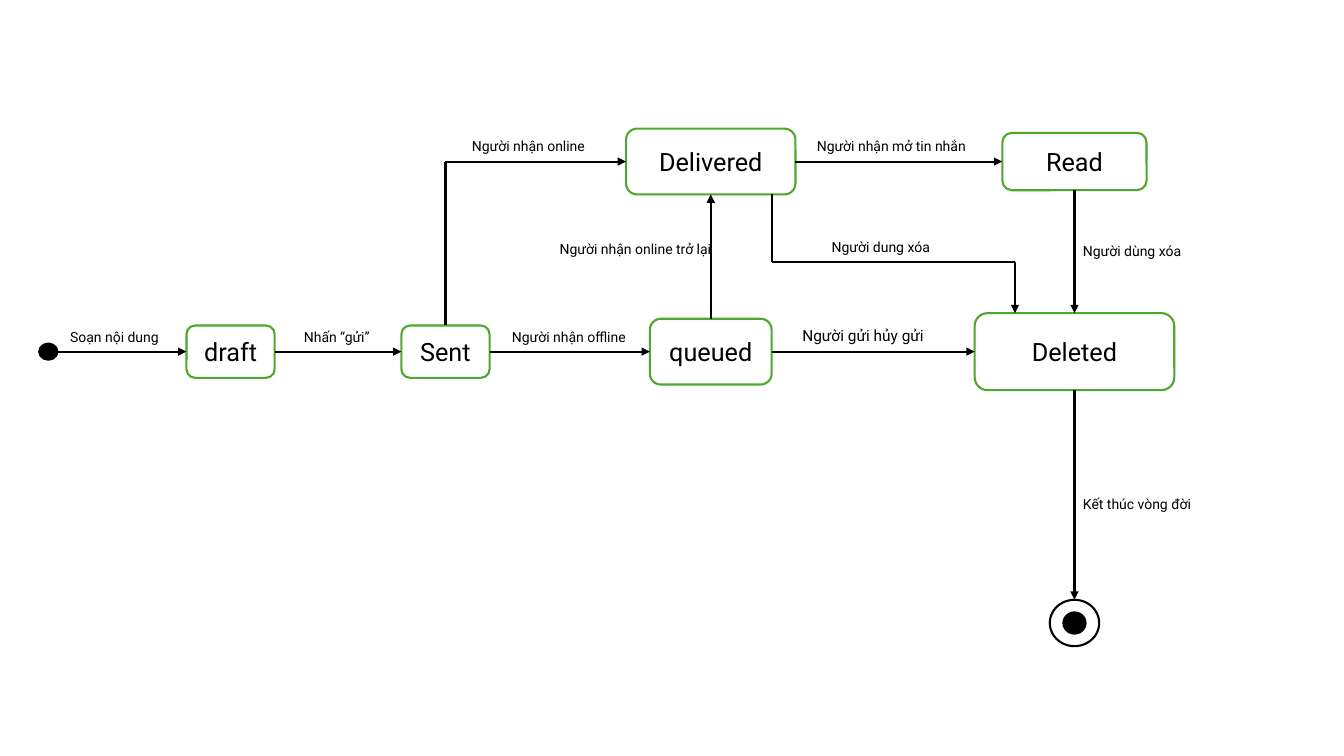
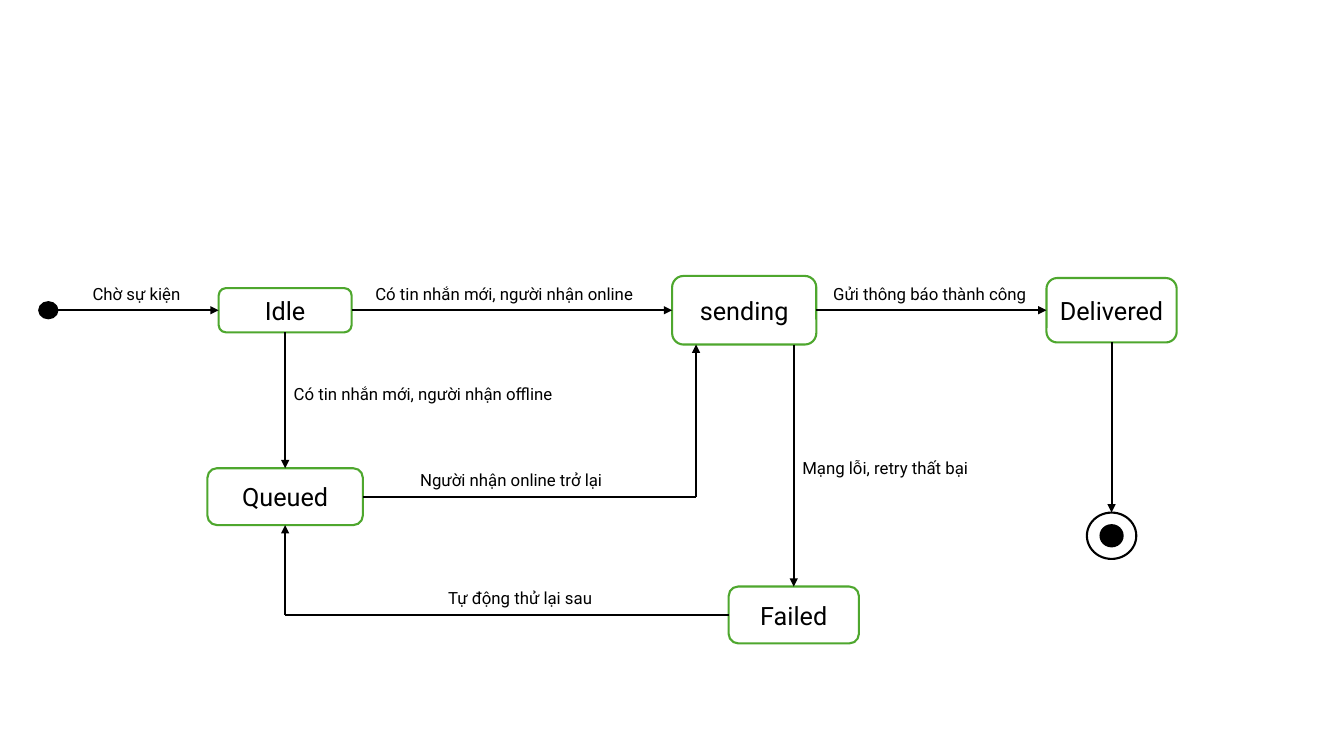
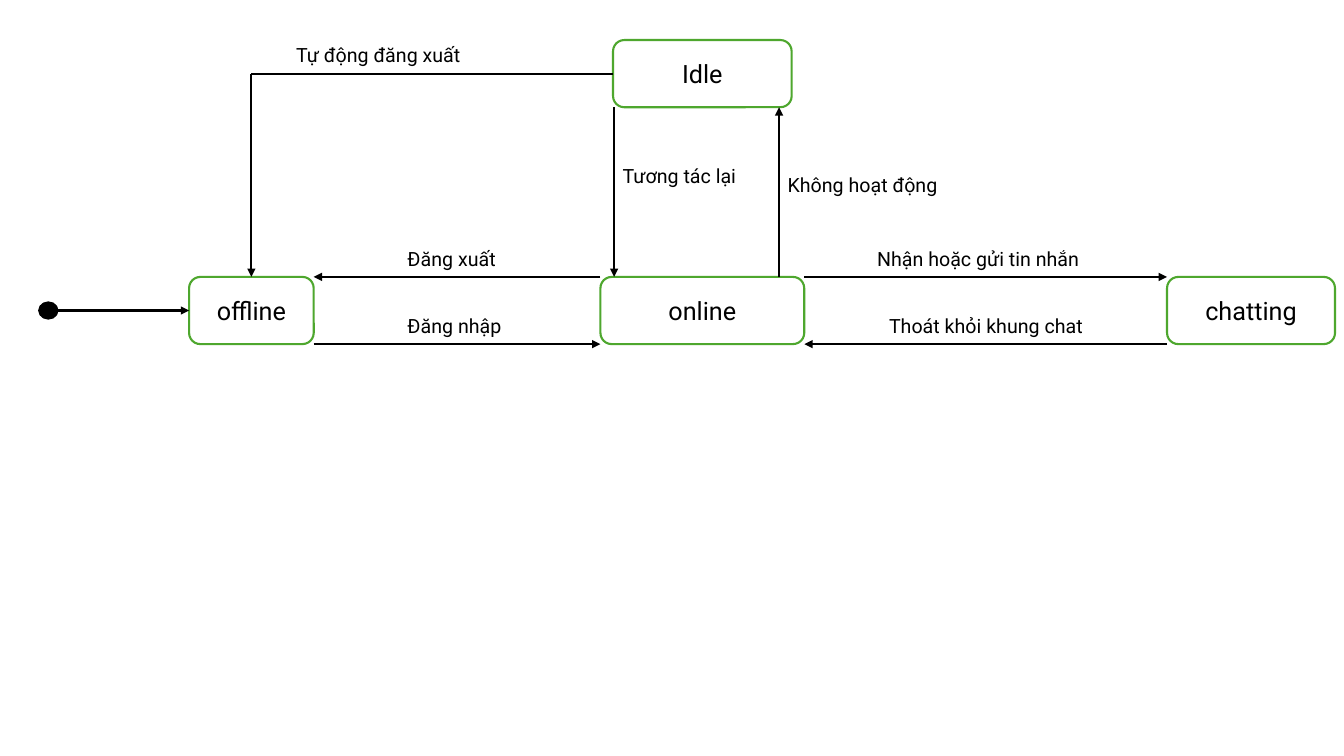
"""Build three state diagrams for a messaging system: message, notification and user."""
from itertools import pairwise

from lxml import etree
from pptx import Presentation
from pptx.dml.color import RGBColor
from pptx.enum.shapes import MSO_CONNECTOR, MSO_SHAPE
from pptx.enum.text import MSO_ANCHOR, MSO_AUTO_SIZE, PP_ALIGN
from pptx.oxml.ns import qn
from pptx.util import Pt

STRAIGHT = MSO_CONNECTOR.STRAIGHT
ELLIPSE = MSO_SHAPE.OVAL
ROUNDED = MSO_SHAPE.ROUNDED_RECTANGLE
MIDDLE = MSO_ANCHOR.MIDDLE
GROW = MSO_AUTO_SIZE.SHAPE_TO_FIT_TEXT
CENTER = PP_ALIGN.CENTER

FONT = "Roboto"
STATE_SIZE = 18
LINE_WIDTH = 1.5
BEND = 0.57
COLORS = {"ink": "000000", "paper": "FFFFFF", "state": "4EA72E"}
START = (34.5, 13, 11.5)
RING = (35.3, 33.1)
CORE = (15.8, 15.1)
SIDES = {
    "left": (-1, 0), "right": (1, 0), "top": (0, -1), "bottom": (0, 1),
    "top left": (-1, -1), "top right": (1, -1),
    "bottom left": (-1, 1), "bottom right": (1, 1),
}

DIAGRAMS = [
    {
        "label_size": 10,
        "rows": {
            115.4: {"Delivered": (507.7, 121, 47), "Read": (767.5, 103, 41)},
            251.2: {
                "start": START, "draft": (164.7, 63, 37.4), "Sent": (318.2, 63, 37.4),
                "queued": (507.7, 87, 47), "Deleted": (767.5, 142.6, 55),
            },
            445: {"end": (767.5, *RING)},
        },
        "flows": [
            ("start", "right", "draft", "left", "Soạn nội dung", 43, {}),
            ("draft", "right", "Sent", "left", "Nhấn “gửi”", 210, {}),
            ("Sent", "right", "queued", "left", "Người nhận offline", 358.6, {}),
            ("queued", "top", "Delivered", "bottom", "Người nhận online trở lại", 178, {"aside": -114}),
            ("Sent", "top", "Delivered", "left", "Người nhận online", 330, {}),
            ("Delivered", "right", "Read", "left", "Người nhận mở tin nhắn", 576.4, {}),
            ("Read", "bottom", "Deleted", "top", "Người dùng xóa", 179.5, {}),
            ("queued", "right", "Deleted", "left", "Người gửi hủy gửi", 566, {"size": 11}),
            ("Delivered", "bottom", "Deleted", "top", "Người dung xóa", 587, {"leave": 44, "arrive": -42.5}),
            ("Deleted", "bottom", "end", "top", "Kết thúc vòng đời", 360, {}),
        ],
    },
    {
        "label_size": 12,
        "rows": {
            221.6: {
                "start": START, "Idle": (203.7, 95, 31.6), "sending": (531.6, 103, 49),
                "Delivered": (794, 93, 46),
            },
            354.8: {"Queued": (203.7, 111, 40.6)},
            382.7: {"end": (794, *RING)},
            439.3: {"Failed": (567, 93, 40.6)},
        },
        "flows": [
            ("start", "right", "Idle", "left", "Chờ sự kiện", 59, {}),
            ("Idle", "bottom", "Queued", "top", "Có tin nhắn mới, người nhận offline", 281.7, {}),
            ("Idle", "right", "sending", "left", "Có tin nhắn mới, người nhận online", 261, {}),
            ("sending", "right", "Delivered", "left", "Gửi thông báo thành công", 588, {}),
            ("Delivered", "bottom", "end", "top", "", 0, {}),
            ("sending", "bottom", "Failed", "top", "Mạng lỗi, retry thất bại", 334, {"leave": 35.4}),
            ("Queued", "right", "sending", "bottom", "Người nhận online trở lại", 293, {"arrive": -34.4}),
            ("Failed", "left", "Queued", "bottom", "Tự động thử lại sau", 313, {}),
        ],
    },
    {
        "label_size": 14,
        "rows": {
            52.6: {"Idle": (501.7, 127.6, 48)},
            221.8: {
                "start": START, "offline": (179.6, 89, 48), "online": (501.7, 145.6, 48),
                "chatting": (893.6, 120, 48),
            },
        },
        "flows": [
            ("start", "right", "offline", "left", "", 0, {}),
            ("offline", "bottom right", "online", "bottom left", "Đăng nhập", 284, {}),
            ("online", "top left", "offline", "top right", "Đăng xuất", 284, {}),
            ("online", "top", "Idle", "bottom", "Không hoạt động", 132.3, {"leave": 54.8, "arrive": 54.8}),
            ("Idle", "bottom", "online", "top", "Tương tác lại", 126, {"leave": -63, "arrive": -63}),
            ("Idle", "left", "offline", "top", "Tự động đăng xuất", 204.4, {}),
            ("online", "top right", "chatting", "top left", "Nhận hoặc gửi tin nhắn", 619.4, {}),
            ("chatting", "bottom left", "online", "bottom right", "Thoát khỏi khung chat", 628, {}),
        ],
    },
]


def add_outline(page, kind, center, size, fill, line):
    """Add a filled, outlined shape around a center, without a shadow."""
    corner = [middle - length / 2 for middle, length in zip(center, size)]
    shape = page.shapes.add_shape(kind, *map(Pt, (*corner, *size)))
    shape.shadow.inherit = False
    shape.fill.solid()
    shape.fill.fore_color.rgb = RGBColor.from_string(COLORS[fill])
    shape.line.color.rgb = RGBColor.from_string(COLORS[line])
    shape.line.width = Pt(LINE_WIDTH)
    return shape


def write_text(box, text, size):
    """Fill a shape's first paragraph in the deck's font."""
    para = box.text_frame.paragraphs[0]
    para.text = text
    para.font.name = FONT
    para.font.size = Pt(size)
    para.font.color.rgb = RGBColor.from_string(COLORS["ink"])
    return para


deck = Presentation()
deck.slide_width, deck.slide_height = Pt(960), Pt(540)
blank_layout = deck.slide_layouts[6]

for diagram in DIAGRAMS:
    page = deck.slides.add_slide(blank_layout)
    states = {}

    for y, row in diagram["rows"].items():
        for name, (x, *extent) in row.items():
            states[name] = (x, y, *extent)
            if name == "start":
                add_outline(page, ELLIPSE, (x, y), extent, "ink", "ink")
            elif name == "end":
                add_outline(page, ELLIPSE, (x, y), extent, "paper", "ink")
                add_outline(page, ELLIPSE, (x, y), CORE, "ink", "ink")
            else:
                state = add_outline(page, ROUNDED, (x, y), extent, "paper", "state")
                state.text_frame.word_wrap = False
                state.text_frame.vertical_anchor = MIDDLE
                write_text(state, name, STATE_SIZE).alignment = CENTER

    for source, exit_side, target, entry_side, text, spot, options in diagram["flows"]:
        ends = []
        for name, side, shift in ((source, exit_side, "leave"), (target, entry_side, "arrive")):
            x, y, width, height = states[name]
            across, down = SIDES[side]
            ends.append((x + across * width / 2 + options.get(shift, 0), y + down * height / 2))
        (start_x, start_y), (end_x, end_y) = ends

        if abs(start_x - end_x) < 1 or abs(start_y - end_y) < 1:
            corners = []
        elif exit_side == "bottom":
            bend_y = start_y + BEND * (end_y - start_y)
            corners = [(start_x, bend_y), (end_x, bend_y)]
        elif exit_side == "top":
            corners = [(start_x, end_y)]
        else:
            corners = [(end_x, start_y)]

        for begin, finish in pairwise([ends[0], *corners, ends[1]]):
            arrow = page.shapes.add_connector(STRAIGHT, *map(Pt, begin + finish))
            arrow.line.color.rgb = RGBColor.from_string(COLORS["ink"])
            arrow.line.width = Pt(LINE_WIDTH)
            etree.SubElement(arrow._element.spPr, qn("a:effectLst"))
        etree.SubElement(arrow.line._get_or_add_ln(), qn("a:tailEnd"), type="triangle")

        if text:
            size = options.get("size", diagram["label_size"])
            width, height = 0.6 * size * len(text) + 15, 1.2 * size + 7.4
            if abs(start_x - end_x) < 1:
                left, top = start_x - 1 + options.get("aside", 0), spot - height / 2
            else:
                line_y = corners[0][1] if corners else start_y
                left, top = spot, line_y - height - 1
            label = page.shapes.add_textbox(*map(Pt, (left, top, width, height)))
            label.text_frame.word_wrap = True
            label.text_frame.auto_size = GROW
            write_text(label, text, size)

deck.save("out.pptx")
